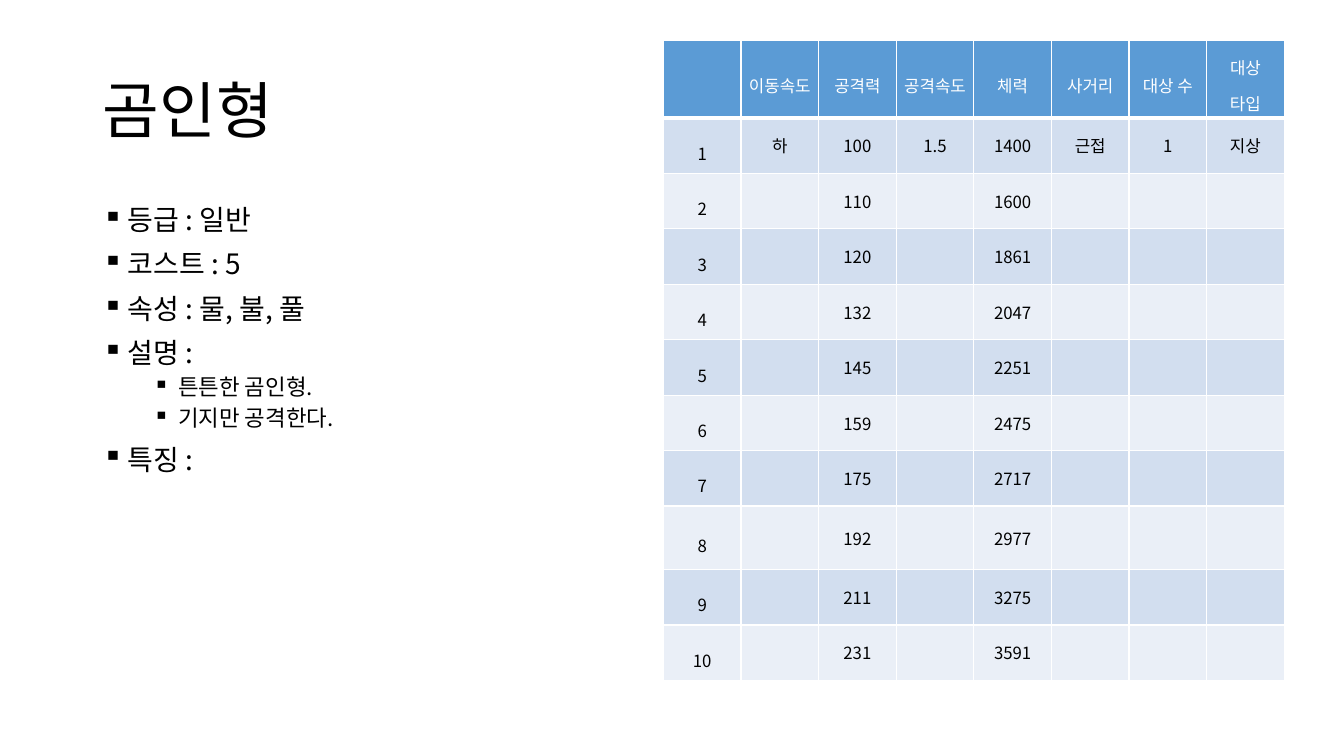
from dataclasses import dataclass

from lxml import etree
from pptx import Presentation
from pptx.dml.color import RGBColor
from pptx.enum.text import MSO_ANCHOR, PP_ALIGN
from pptx.oxml.ns import qn
from pptx.util import Pt

PX = 9144
LEFT, CENTER = PP_ALIGN.LEFT, PP_ALIGN.CENTER
MIDDLE = MSO_ANCHOR.MIDDLE
TITLE_ONLY = 5


@dataclass(frozen=True)
class Theme:
    """Fonts, type sizes and colours of the slide."""

    font: str = "Noto Sans CJK KR"
    title_size: int = 44
    trait_size: int = 20
    detail_size: int = 16
    table_size: int = 12
    ink: str = "000000"
    paper: str = "FFFFFF"
    header: str = "5B9BD5"
    bands: tuple = ("D2DEEF", "EAEFF7")


THEME = Theme()
TRAITS = [
    (0, "등급 : 일반"),
    (0, "코스트 : 5"),
    (0, "속성 : 물, 불, 풀"),
    (0, "설명 :"),
    (1, "튼튼한 곰인형."),
    (1, "기지만 공격한다."),
    (0, "특징 :"),
]
HEADINGS = ["", "이동속도", "공격력", "공격속도", "체력", "사거리", "대상 수", "대상 타입"]
ATTACK = [100, 110, 120, 132, 145, 159, 175, 192, 211, 231]
HEALTH = [1400, 1600, 1861, 2047, 2251, 2475, 2717, 2977, 3275, 3591]
ROW_HEIGHTS = [77] + [55] * 7 + [63] + [55] * 2


def px(*lengths):
    """Turn lengths in px into EMU."""
    return [length * PX for length in lengths]


def style(paragraph, size, color, align=LEFT, spacing=1.0):
    """Set the font, alignment and line spacing of a paragraph."""
    paragraph.alignment = align
    paragraph.line_spacing = spacing
    font = paragraph.font
    font.name = THEME.font
    font.size = Pt(size)
    font.bold = False
    font.color.rgb = RGBColor.from_string(color)
    defaults = paragraph._p.pPr.find(qn("a:defRPr"))
    etree.SubElement(defaults, qn("a:ea"), typeface=THEME.font)


def add_bullet(paragraph, level):
    """Give a paragraph a square bullet with a hanging indent."""
    properties = paragraph._p.get_or_add_pPr()
    indent, hanging = px(25 + 50 * level, -25)
    properties.set("marL", str(indent))
    properties.set("indent", str(hanging))
    etree.SubElement(properties, qn("a:buChar"), char="▪")


def add_title(slide, text):
    """Fill and place the title placeholder."""
    title = slide.shapes.title
    title.left, title.top, title.width, title.height = px(92, 40, 1150, 145)
    title.text_frame.text = text
    title.text_frame.vertical_anchor = MIDDLE
    style(title.text_frame.paragraphs[0], THEME.title_size, THEME.ink, spacing=0.9)


def add_traits(slide, traits):
    """Add the bulleted list of character traits."""
    frame = slide.shapes.add_textbox(*px(92, 200, 567, 476)).text_frame
    frame.word_wrap = True
    for index, (level, text) in enumerate(traits):
        paragraph = frame.add_paragraph() if index else frame.paragraphs[0]
        paragraph.text = text
        paragraph.level = level
        paragraph.space_before = Pt(5 if level else 10)
        add_bullet(paragraph, level)
        size = THEME.detail_size if level else THEME.trait_size
        style(paragraph, size, THEME.ink, spacing=0.9)


def add_borders(cell, top, bottom):
    """Draw the white borders of a cell, with top and bottom widths in points."""
    properties = cell._tc.get_or_add_tcPr()
    widths = {"lnL": 1, "lnR": 1, "lnT": top, "lnB": bottom}
    for position, (side, width) in enumerate(widths.items()):
        line = etree.Element(qn(f"a:{side}"), w=str(Pt(width)))
        fill = etree.SubElement(line, qn("a:solidFill"))
        etree.SubElement(fill, qn("a:srgbClr"), val=THEME.paper)
        properties.insert(position, line)


def fill_cell(cell, text, row, column):
    """Write and format one cell according to its row and column."""
    is_header = row == 0
    cell.text = text
    cell.vertical_anchor = MIDDLE
    tight = is_header or column == 0
    side, edge = px(6, 2) if tight else px(9, 5)
    cell.margin_left = cell.margin_right = side
    cell.margin_top = cell.margin_bottom = edge
    spacing = 1.5 if is_header else 1.6 if column == 0 else 1.0
    color = THEME.paper if is_header else THEME.ink
    style(cell.text_frame.paragraphs[0], THEME.table_size, color, CENTER, spacing)
    fill = THEME.header if is_header else THEME.bands[(row - 1) % 2]
    cell.fill.solid()
    cell.fill.fore_color.rgb = RGBColor.from_string(fill)
    add_borders(cell, 3 if row == 1 else 1, 3 if is_header else 1)


def level_rows():
    """List the table rows, with the constant stats given at level 1 only."""
    rows = [HEADINGS]
    for level, (attack, health) in enumerate(zip(ATTACK, HEALTH), 1):
        fixed = ["하", "1.5", "근접", "1", "지상"] if level == 1 else [""] * 5
        speed, rate, *target = fixed
        rows.append([str(level), speed, str(attack), rate, str(health), *target])
    return rows


def add_stats(slide, rows):
    """Add the table of stats by level."""
    place = px(658, 40, 77 * len(HEADINGS), sum(ROW_HEIGHTS))
    stats = slide.shapes.add_table(len(rows), len(HEADINGS), *place).table
    for row, (height, texts) in enumerate(zip(ROW_HEIGHTS, rows)):
        stats.rows[row].height = height * PX
        for column, text in enumerate(texts):
            fill_cell(stats.cell(row, column), text, row, column)


def main():
    """Build and save the slide."""
    deck = Presentation()
    deck.slide_width, deck.slide_height = px(1333, 750)
    slide = deck.slides.add_slide(deck.slide_layouts[TITLE_ONLY])
    add_title(slide, "곰인형")
    add_traits(slide, TRAITS)
    add_stats(slide, level_rows())
    deck.save("out.pptx")


if __name__ == "__main__":
    main()
